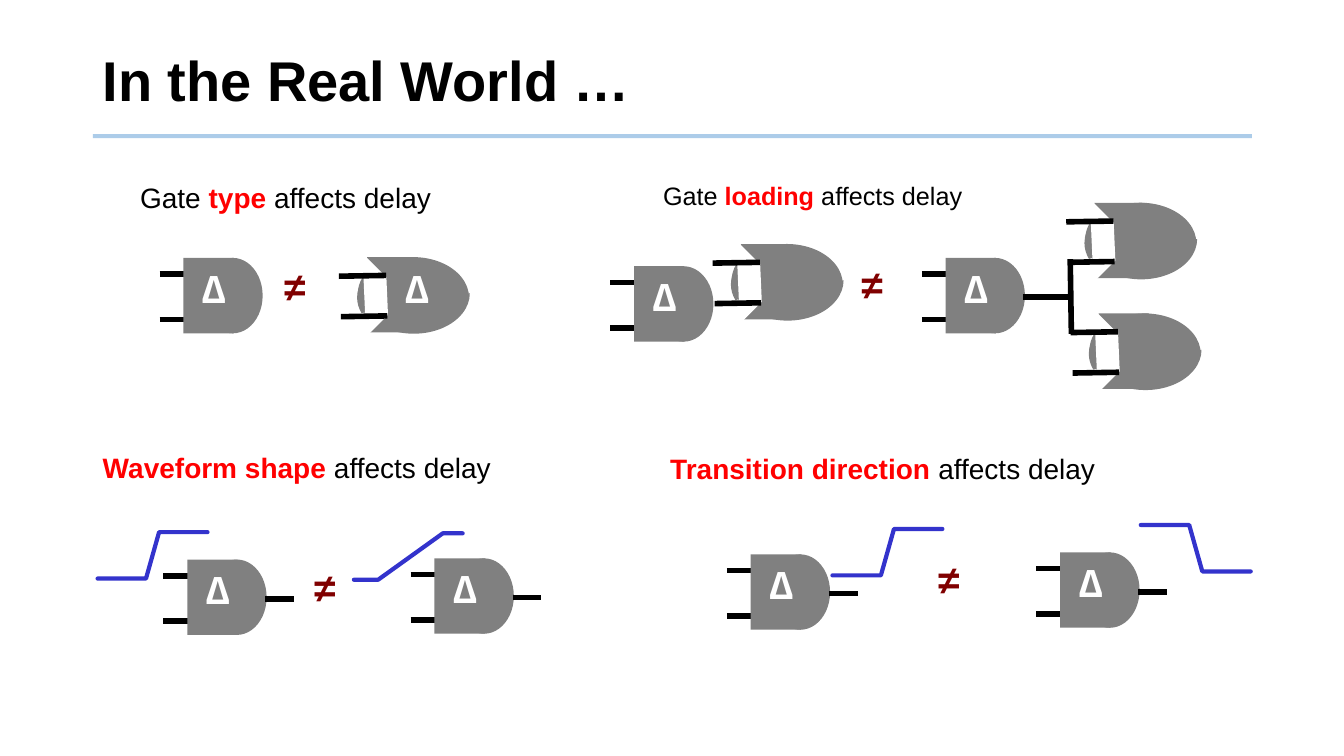
from dataclasses import dataclass

from lxml.etree import SubElement
from pptx import Presentation
from pptx.dml.color import RGBColor as RGB
from pptx.enum.shapes import MSO_CONNECTOR as Connector, MSO_SHAPE as Shape
from pptx.enum.text import MSO_ANCHOR as Anchor, MSO_AUTO_SIZE as AutoSize
from pptx.oxml.ns import qn
from pptx.util import Cm, Pt


@dataclass(frozen=True)
class Theme:
    font: str = "Arial"
    ink: str = "000000"
    paper: str = "FFFFFF"
    accent: str = "FF0000"
    unequal: str = "800000"
    gate: str = "808080"
    signal: str = "3333CC"
    rule: str = "5B9BD5"
    title_size: int = 40
    symbol_size: int = 28
    caption_size: int = 20
    small_caption_size: int = 18
    wire_width: int = 4
    thin_width: int = 3


class GateSlide:
    def __init__(self, slide, theme):
        self.shapes = slide.shapes
        self.theme = theme

    def text(self, x, y, width, height, runs, size, wrap=False):
        box = self.shapes.add_textbox(Cm(x), Cm(y), Cm(width), Cm(height))
        frame = box.text_frame
        frame.word_wrap = wrap
        frame.auto_size = AutoSize.NONE if wrap else AutoSize.SHAPE_TO_FIT_TEXT
        for words, color, bold in runs:
            run = frame.paragraphs[0].add_run()
            run.text = words
            run.font.name = self.theme.font
            run.font.size = Pt(size)
            run.font.bold = bold
            run.font.color.rgb = RGB.from_string(color)
        return frame

    def title(self, words):
        runs = [(words, self.theme.ink, True)]
        frame = self.text(2.34, 0.71, 29.21, 2.79, runs, self.theme.title_size, wrap=True)
        frame.vertical_anchor = Anchor.MIDDLE
        frame.paragraphs[0].line_spacing = 0.9

    def caption(self, x, y, width, before, stressed, after, size):
        runs = [(before, self.theme.ink, False)] if before else []
        runs += [(stressed, self.theme.accent, True), (after, self.theme.ink, False)]
        self.text(x, y, width, 1.12, runs, size)

    def delay(self, x, y):
        self.text(x, y, 1.12, 1.45, [("∆", self.theme.paper, True)], self.theme.symbol_size)

    def not_equal(self, x, y):
        self.text(x, y, 1.07, 1.45, [("≠", self.theme.unequal, True)], self.theme.symbol_size)

    def line(self, x1, y1, x2, y2, color, width):
        wire = self.shapes.add_connector(Connector.STRAIGHT, Cm(x1), Cm(y1), Cm(x2), Cm(y2))
        wire.line.color.rgb = RGB.from_string(color)
        wire.line.width = Pt(width)
        SubElement(wire.element.spPr, qn("a:effectLst"))
        return wire

    def wire(self, x1, y1, x2, y2):
        self.line(x1, y1, x2, y2, self.theme.ink, self.theme.wire_width)

    def rule(self):
        rule = self.line(2.34, 3.43, 31.55, 3.43, self.theme.rule, self.theme.thin_width)
        color = next(rule.element.iter(qn("a:srgbClr")))
        SubElement(color, qn("a:alpha")).set("val", "50000")

    def solid(self, kind, x, y, width, height, color):
        part = self.shapes.add_shape(kind, Cm(x), Cm(y), Cm(width), Cm(height))
        part.shadow.inherit = False
        part.fill.solid()
        part.fill.fore_color.rgb = RGB.from_string(color)
        part.line.fill.background()
        return part

    def and_gate(self, x, y, output=False):
        for lead_y in (y + 0.41, y + 1.55):
            self.wire(x - 0.6, lead_y, x + 0.2, lead_y)
        self.solid(Shape.RECTANGLE, x, y, 1.27, 1.9, self.theme.gate)
        self.solid(Shape.OVAL, x + 0.5, y, 1.5, 1.9, self.theme.gate)
        self.delay(x + 0.22, y + 0.03)
        if output:
            self.wire(x + 1.97, y + 0.99, x + 2.69, y + 0.99)

    def or_gate(self, x, y, delay=False):
        self.solid(Shape.RECTANGLE, x, y, 1.27, 1.9, self.theme.gate)
        for dx, dy, flipped in ((-0.25, 0, False), (-0.23, -0.1, True)):
            curve = self.solid(Shape.ARC, x + dx, y + dy, 2.82, 2.03, self.theme.gate)
            curve.adjustments[0] = 97.6908
            curve.adjustments[1] = 0
            if flipped:
                curve.element.spPr.xfrm.set("flipV", "1")
        notch = self.solid(Shape.DIAGONAL_STRIPE, x - 0.78, y + 0.18, 1.42, 1.55, self.theme.paper)
        notch.adjustments[0] = 0.45
        notch.rotation = 135
        self.wire(x - 0.66, y + 1.5, x + 0.51, y + 1.48)
        self.wire(x - 0.71, y + 0.48, x + 0.48, y + 0.46)
        if delay:
            self.delay(x + 0.71, y + 0.05)

    def waveform(self, x, y, ramp_start, ramp_end, length, change):
        points = [(x + ramp_start, y), (x + ramp_end, y + change), (x + length, y + change)]
        builder = self.shapes.build_freeform(Cm(x), Cm(y))
        builder.add_line_segments([(Cm(px), Cm(py)) for px, py in points], close=False)
        signal = builder.convert_to_shape()
        signal.shadow.inherit = False
        signal.fill.background()
        signal.line.color.rgb = RGB.from_string(self.theme.signal)
        signal.line.width = Pt(self.theme.thin_width)
        outline = signal.element.spPr.find(qn("a:ln"))
        outline.set("cap", "rnd")
        SubElement(outline, qn("a:round"))


def main():
    deck = Presentation()
    deck.slide_width, deck.slide_height = Cm(33.87), Cm(19.05)
    theme = Theme()
    page = GateSlide(deck.slides.add_slide(deck.slide_layouts[6]), theme)

    page.rule()
    page.title("In the Real World …")

    effect = "affects delay"
    page.caption(3.28, 4.42, 7.9, "Gate ", "type ", effect, theme.caption_size)
    page.and_gate(4.62, 6.5)
    page.or_gate(9.25, 6.48, delay=True)
    page.not_equal(6.91, 6.48)

    page.caption(16.46, 4.42, 8.13, "Gate ", "loading ", effect, theme.small_caption_size)
    page.and_gate(15.98, 6.71)
    page.or_gate(18.67, 6.15)
    page.and_gate(23.83, 6.5)
    page.or_gate(27.58, 5.11)
    page.or_gate(27.69, 7.9)
    page.wire(26.97, 6.53, 27, 8.41)
    page.wire(25.78, 7.49, 26.97, 7.49)
    page.not_equal(21.46, 6.43)

    page.caption(2.34, 11.23, 10.36, "", "Waveform shape ", effect, theme.caption_size)
    page.caption(16.64, 11.25, 11.3, "", "Transition direction ", effect, theme.caption_size)
    for x, y in ((4.72, 14.1), (10.95, 14.07), (18.92, 13.97), (26.72, 13.92)):
        page.and_gate(x, y, output=True)

    swing = 1.17
    steep, slow = (1.22, 1.55, 2.77), (0.61, 2.24, 2.74)
    page.waveform(2.46, 14.58, *steep, -swing)
    page.waveform(8.92, 14.61, *slow, -swing)
    page.waveform(20.98, 14.5, *steep, -swing)
    page.waveform(28.75, 13.23, *steep, swing)
    page.not_equal(7.67, 14.07)
    page.not_equal(23.39, 13.87)

    deck.save("out.pptx")


if __name__ == "__main__":
    main()
